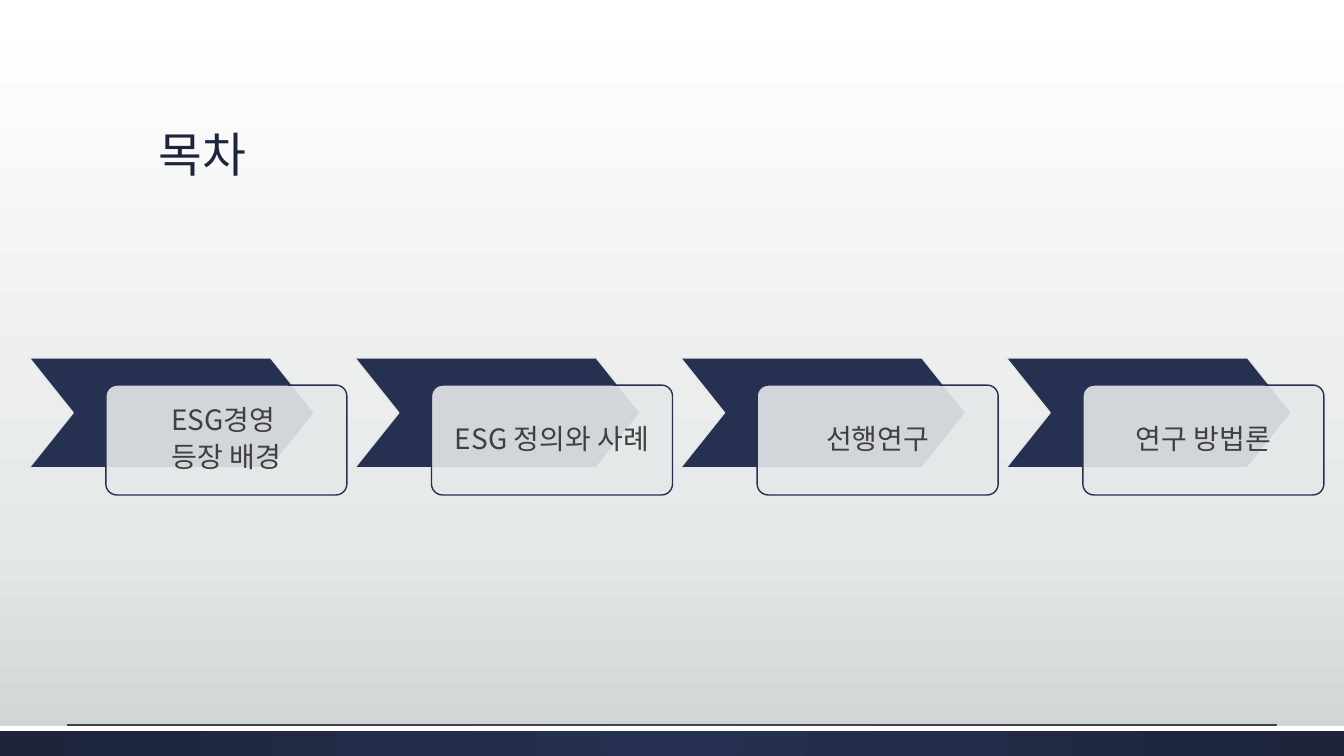
from lxml.etree import SubElement as sub
from pptx import Presentation
from pptx.dml.color import RGBColor
from pptx.enum.shapes import MSO_CONNECTOR as LINE, MSO_SHAPE as SHAPE
from pptx.enum.text import MSO_ANCHOR as ANCHOR, MSO_AUTO_SIZE as AUTOSIZE, PP_ALIGN as ALIGN
from pptx.oxml.ns import qn
from pptx.util import Inches, Pt

COLORS = {"navy": "263050", "ink": "1D243C", "mist": "E5E8E8",
          "fog": "CDD2D2", "white": "FFFFFF", "text": "404040"}
FONT = "Noto Sans CJK KR"
TOPICS = ["ESG경영 \n등장 배경", "ESG 정의와 사례", "선행연구", "연구 방법론"]

# Topic grid, in inches
LEFT, PITCH, TOP = 0.29, 3.23, 3.55
ARROW_W, CARD_W, STEP_H = 2.83, 2.39, 1.09
CARD_DX, CARD_DY = 0.76, 0.27


def to_gradient(parent, stops, circular=False):
    """Replace the solid fill under parent by a gradient."""
    solid = parent.find(qn("a:solidFill"))
    gradient = solid.makeelement(qn("a:gradFill"), {"rotWithShape": "1"})
    parent.replace(solid, gradient)
    stop_list = sub(gradient, qn("a:gsLst"))
    for percent, color in stops:
        stop = sub(stop_list, qn("a:gs"), pos=str(percent * 1000))
        sub(stop, qn("a:srgbClr"), val=COLORS[color])
    if circular:
        center = sub(gradient, qn("a:path"), {"path": "circle"})
        sub(center, qn("a:fillToRect"), {side: "50000" for side in "ltrb"})
    else:
        sub(gradient, qn("a:lin"), ang="5400000", scaled="0")


def write(frame, text, size, color, paragraph_format, frame_format):
    """Fill a text frame with evenly formatted paragraphs."""
    frame.text = text
    for key, value in frame_format.items():
        setattr(frame, key, value)
    for paragraph in frame.paragraphs:
        for key, value in paragraph_format.items():
            setattr(paragraph, key, value)
        for run in paragraph.runs:
            run.font.name, run.font.size = FONT, Pt(size)
            run.font.color.rgb = RGBColor.from_string(COLORS[color])
            sub(run.font._element, qn("a:ea"), typeface=FONT)


deck = Presentation()
deck.slide_width, deck.slide_height = Inches(13.33), Inches(7.5)
width, height = deck.slide_width, deck.slide_height
slide = deck.slides.add_slide(deck.slide_layouts[5])
shapes = slide.shapes

# Background
slide.background.fill.solid()
to_gradient(slide.element.find(".//" + qn("p:bgPr")),
            [(0, "white"), (72, "mist"), (100, "fog")])

# Footer band, white strip and hairline
footer_top = int(height * 0.96)
for color, strip_height in [("navy", height - footer_top), ("white", Inches(0.05))]:
    strip = shapes.add_shape(SHAPE.RECTANGLE, 0, footer_top, width, strip_height)
    strip.shadow.inherit = False
    strip.line.fill.background()
    strip.fill.solid()
    strip.fill.fore_color.rgb = RGBColor.from_string(COLORS[color])
    if color == "navy":
        to_gradient(strip._element.spPr, [(0, "navy"), (100, "ink")], circular=True)

hairline_y = Inches(7.19)
hairline = shapes.add_connector(LINE.STRAIGHT, int(width * 0.05), hairline_y,
                                int(width * 0.95), hairline_y)
hairline.line.width = Pt(0.75)
hairline.line.color.rgb = RGBColor.from_string(COLORS["text"])
sub(hairline._element.spPr, qn("a:effectLst"))

# Title
title = shapes.title
title.left, title.top = Inches(1.47), Inches(0.51)
title.width, title.height = Inches(10.4), Inches(1.35)
write(title.text_frame, "목차", 34, "ink",
      {"alignment": ALIGN.LEFT, "line_spacing": 0.9},
      {"vertical_anchor": ANCHOR.BOTTOM, "auto_size": AUTOSIZE.NONE})

# Topics: a chevron with a translucent card over it
CARD_PARAGRAPH = {"alignment": ALIGN.CENTER, "line_spacing": 0.9, "space_after": Pt(5)}
CARD_FRAME = {"vertical_anchor": ANCHOR.MIDDLE, "word_wrap": True}
for side in ("left", "right", "top", "bottom"):
    CARD_FRAME["margin_" + side] = Inches(0.16)

for column, topic in enumerate(TOPICS):
    x = LEFT + column * PITCH
    arrow = shapes.add_shape(SHAPE.CHEVRON, Inches(x), Inches(TOP),
                             Inches(ARROW_W), Inches(STEP_H))
    card = shapes.add_shape(SHAPE.ROUNDED_RECTANGLE, Inches(x + CARD_DX),
                            Inches(TOP + CARD_DY), Inches(CARD_W), Inches(STEP_H))
    for part, fill, edge, adjust in [(arrow, "navy", "mist", 0.4),
                                     (card, "mist", "navy", 0.1)]:
        part.shadow.inherit = False
        part.adjustments[0] = adjust
        part.fill.solid()
        part.fill.fore_color.rgb = RGBColor.from_string(COLORS[fill])
        part.line.color.rgb = RGBColor.from_string(COLORS[edge])
        part.line.width = Pt(1)
    card_color = card._element.spPr.find(qn("a:solidFill"))[0]
    sub(card_color, qn("a:alpha"), val="90000")
    write(card.text_frame, topic, 20, "text", CARD_PARAGRAPH, CARD_FRAME)

deck.save("out.pptx")
